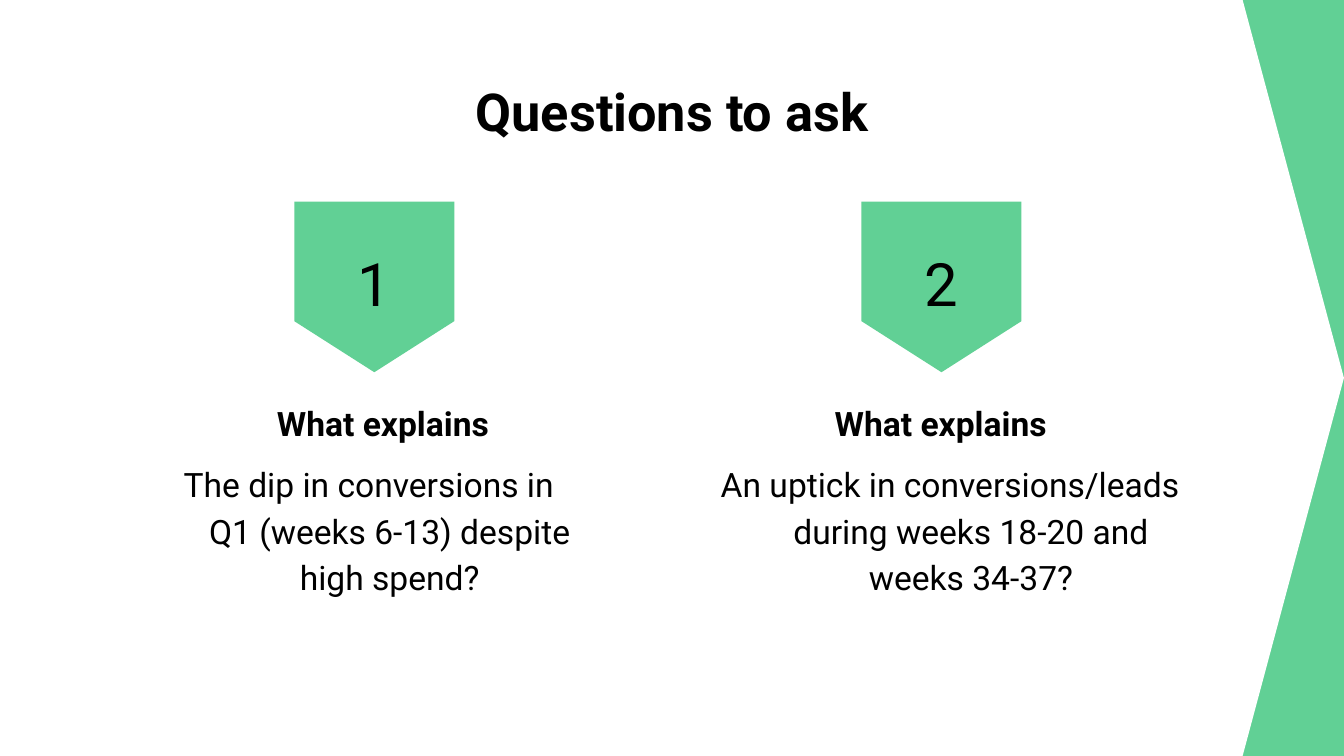
from pptx import Presentation
from pptx.dml.color import RGBColor
from pptx.enum.shapes import MSO_SHAPE
from pptx.enum.text import MSO_ANCHOR, PP_ALIGN
from pptx.util import Inches, Pt

PENTAGON = MSO_SHAPE.PENTAGON
TOP, MIDDLE = MSO_ANCHOR.TOP, MSO_ANCHOR.MIDDLE
CENTER = PP_ALIGN.CENTER
GREEN, WHITE, BLACK = "61D095", "FFFFFF", "000000"
FONT = "Roboto"
WIDTH, HEIGHT = 10, 5.625
HEAD = "What explains"
# column left, body width, tag left, number, question
COLUMNS = [
    (1.11, 3.27, 2.15, "1",
     "The dip in conversions in Q1 (weeks 6-13) despite high spend?"),
    (5.26, 3.62, 6.37, "2",
     "An uptick in conversions/leads during weeks 18-20 and weeks 34-37?"),
]


def color(code):
    return RGBColor.from_string(code)


def add_arrow(slide, box, fill, point, turn=0):
    shape = slide.shapes.add_shape(PENTAGON, *map(Inches, box))
    shape.adjustments[0] = point
    shape.rotation = turn
    shape.shadow.inherit = False
    shape.fill.solid()
    shape.fill.fore_color.rgb = color(fill)
    shape.line.fill.background()


def add_text(slide, box, text, size, bold=False, anchor=TOP, spacing=1.0):
    frame = slide.shapes.add_textbox(*map(Inches, box)).text_frame
    frame.word_wrap = True
    frame.vertical_anchor = anchor
    frame.margin_left = frame.margin_right = Inches(0.1)
    frame.margin_top = frame.margin_bottom = Inches(0.1)
    frame.text = text
    para = frame.paragraphs[0]
    para.alignment = CENTER
    para.line_spacing = spacing
    font = para.runs[0].font
    font.name, font.size, font.bold = FONT, Pt(size), bold
    font.color.rgb = color(BLACK)
    return para


def add_column(slide, left, top, width, tag, number, question):
    add_arrow(slide, (tag, top, 1.27, 1.19), GREEN, 0.319, 90)
    add_text(slide, (tag + 0.345, top + 0.27, 0.58, 0.58), number, 32,
             anchor=MIDDLE)
    head = add_text(slide, (left + 0.21, top + 1.31, 3.06, 0.63), HEAD, 18,
                    bold=True, spacing=1.15)
    head.space_after = Pt(16)
    body = add_text(slide, (left, top + 1.77, width, 1.6), question, 18,
                    spacing=1.15)
    # Hanging indent
    props = body._p.get_or_add_pPr()
    props.set("marL", str(Inches(0.31)))
    props.set("indent", str(-Inches(0.31)))


def main():
    deck = Presentation()
    deck.slide_width, deck.slide_height = Inches(WIDTH), Inches(HEIGHT)
    slide = deck.slides.add_slide(deck.slide_layouts[6])
    back = slide.background.fill
    back.solid()
    back.fore_color.rgb = color(GREEN)
    add_arrow(slide, (0, 0, WIDTH, HEIGHT), WHITE, 0.134)
    add_text(slide, (0.78, 0.49, 8.44, 0.63), "Questions to ask", 28,
             bold=True)
    for left, width, tag, number, question in COLUMNS:
        add_column(slide, left, 1.54, width, tag, number, question)
    deck.save("out.pptx")


if __name__ == "__main__":
    main()
